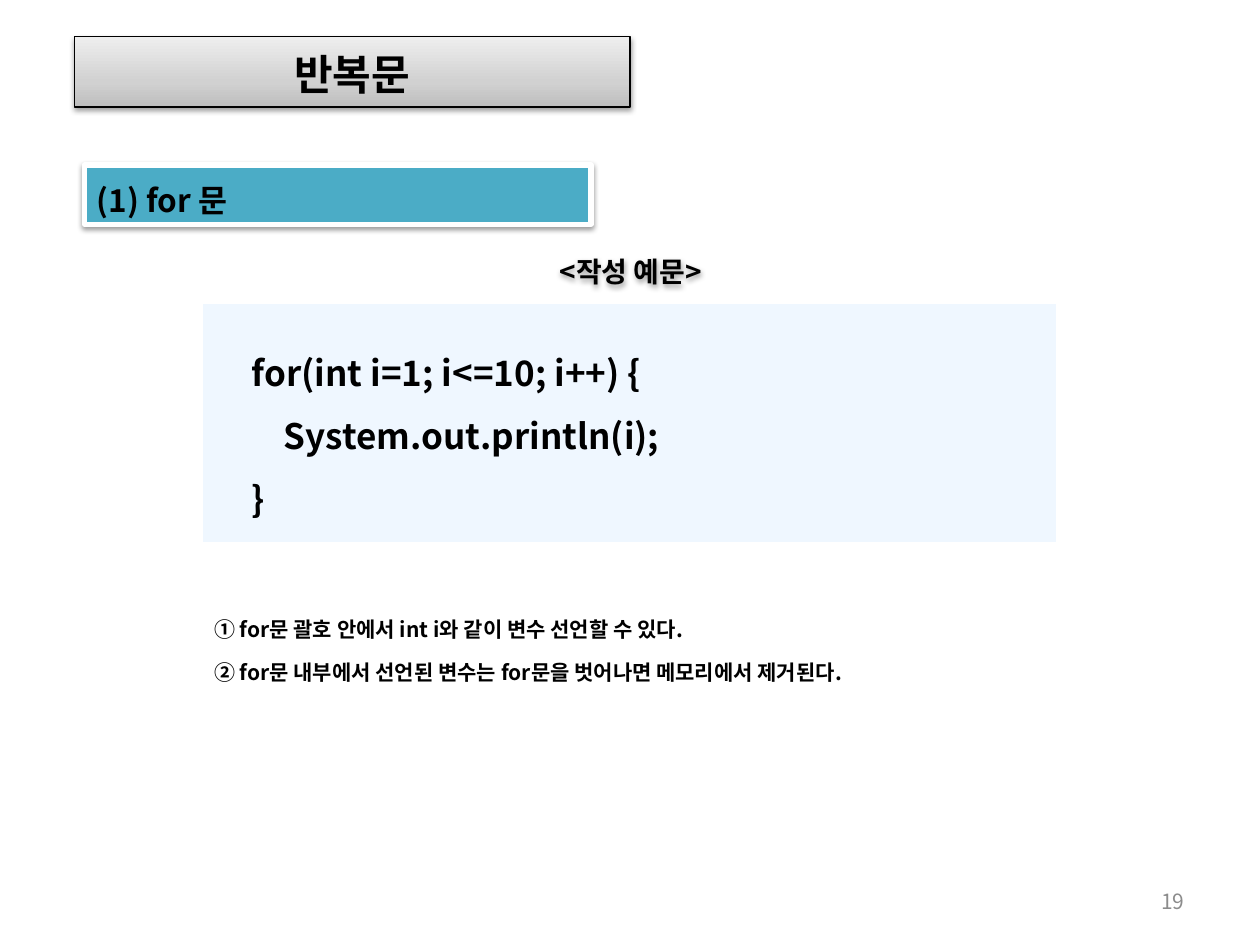
from dataclasses import dataclass

from lxml import etree
from pptx import Presentation
from pptx.dml.color import RGBColor
from pptx.enum.shapes import MSO_SHAPE
from pptx.enum.text import MSO_ANCHOR, PP_ALIGN
from pptx.oxml.ns import qn
from pptx.util import Inches, Pt

PROCESS = MSO_SHAPE.FLOWCHART_PROCESS
MIDDLE = MSO_ANCHOR.MIDDLE
LEFT, CENTER, RIGHT = PP_ALIGN.LEFT, PP_ALIGN.CENTER, PP_ALIGN.RIGHT


@dataclass(frozen=True)
class Theme:
    font: str = "Noto Sans CJK KR"
    ink: str = "000000"
    muted: str = "8C8C8C"
    white: str = "FFFFFF"
    accent: str = "4BACC6"
    code_fill: str = "EFF7FF"
    title_stops: tuple = ((0, "BDBDBD"), (35, "D1D1D1"), (100, "EEEEEE"))
    title_size: int = 24
    code_size: int = 20
    heading_size: int = 18
    caption_size: int = 16
    small_size: int = 12
    line_pitch: Pt = Pt(25)


THEME = Theme()


def add_child(parent, tag, **attributes):
    child = etree.SubElement(parent, qn(tag))
    for name, value in attributes.items():
        child.set(name, str(value))
    return child


def add_color(parent, color):
    return add_child(parent, "a:srgbClr", val=color)


def cast_shadow(shape):
    """Give the shape a soft shadow straight below it."""
    shape.shadow.inherit = False
    effects = shape._element.spPr.find(qn("a:effectLst"))
    shadow = add_child(effects, "a:outerShdw", blurRad=Pt(3.1), dist=Pt(1.6),
                       dir=90 * 60000, rotWithShape=0)
    add_child(add_color(shadow, THEME.ink), "a:alpha", val=38000)


def fill_gradient(shape, stops):
    """Run the colour stops from the bottom edge to the top edge."""
    shape.fill.gradient()
    shape.fill.gradient_angle = 90
    stop_list = shape._element.spPr.find(qn("a:gradFill")).find(qn("a:gsLst"))
    for old_stop in list(stop_list):
        stop_list.remove(old_stop)
    for percent, color in stops:
        add_color(add_child(stop_list, "a:gs", pos=percent * 1000), color)


def add_box(page, box, fill=None, line=None, line_width=0.75):
    shape = page.shapes.add_shape(PROCESS, *map(Inches, box))
    shape.shadow.inherit = False
    if fill:
        shape.fill.solid()
        shape.fill.fore_color.rgb = RGBColor.from_string(fill)
    else:
        shape.fill.background()
    if line:
        shape.line.color.rgb = RGBColor.from_string(line)
        shape.line.width = Pt(line_width)
    else:
        shape.line.fill.background()
    return shape


def write(shape, lines, size, align=LEFT, spacing=None, margin=0, indent=0,
          color=THEME.ink, bold=True, top=0.08):
    frame = shape.text_frame
    frame_format = {
        "word_wrap": True, "vertical_anchor": MIDDLE,
        "margin_left": Inches(0.1), "margin_right": Inches(0.1),
        "margin_top": Inches(top), "margin_bottom": Inches(0.05),
    }
    for name, value in frame_format.items():
        setattr(frame, name, value)
    for number, line in enumerate(lines):
        para = frame.add_paragraph() if number else frame.paragraphs[0]
        para.alignment = align
        para.line_spacing = spacing
        properties = para._p.get_or_add_pPr()
        properties.set("marL", str(Inches(margin)))
        properties.set("indent", str(Inches(indent)))
        span = para.add_run()
        span.text = line
        span.font.color.rgb = RGBColor.from_string(color)
        for name, value in {"size": Pt(size), "bold": bold, "name": THEME.font}.items():
            setattr(span.font, name, value)
        add_child(span._r.get_or_add_rPr(), "a:ea", typeface=THEME.font)


def add_title(page, box, text):
    shape = add_box(page, box, line=THEME.ink)
    fill_gradient(shape, THEME.title_stops)
    cast_shadow(shape)
    write(shape, [text], THEME.title_size, CENTER)


def add_heading(page, box, text):
    shape = add_box(page, box, THEME.accent, THEME.white, 3)
    cast_shadow(shape)
    write(shape, [text], THEME.heading_size, spacing=THEME.line_pitch)


def add_caption(page, box, text):
    shape = add_box(page, box)
    cast_shadow(shape)
    write(shape, [text], THEME.caption_size, CENTER, THEME.line_pitch)


def add_code(page, box, lines):
    shape = add_box(page, box, THEME.code_fill)
    write(shape, lines, THEME.code_size, spacing=1.5, margin=0.29)


def add_notes_list(page, box, lines):
    write(add_box(page, box), lines, THEME.small_size,
          spacing=THEME.line_pitch, margin=0.22, indent=-0.22)


def add_page_number(page, box, text):
    shape = page.shapes.add_textbox(*map(Inches, box))
    write(shape, [text], THEME.small_size, RIGHT, color=THEME.muted,
          bold=False, top=0.05)


def main():
    deck = Presentation()
    deck.slide_width, deck.slide_height = Inches(10), Inches(7.5)
    page = deck.slides.add_slide(deck.slide_layouts[6])
    add_page_number(page, (7.17, 6.95, 2.33, 0.4), "19")
    add_title(page, (0.59, 0.29, 4.41, 0.56), "반복문")
    add_heading(page, (0.67, 1.31, 4.02, 0.47), "(1) for 문")
    add_notes_list(page, (1.6, 4.59, 7.02, 0.97), [
        "① for문 괄호 안에서 int i와 같이 변수 선언할 수 있다.",
        "② for문 내부에서 선언된 변수는 for문을 벗어나면 메모리에서 제거된다.",
    ])
    add_code(page, (1.61, 2.41, 6.77, 1.89), [
        "for(int i=1; i<=10; i++) {",
        "    System.out.println(i);",
        "}",
    ])
    add_caption(page, (4.06, 1.94, 1.89, 0.31), "<작성 예문>")
    deck.save("out.pptx")


if __name__ == "__main__":
    main()
